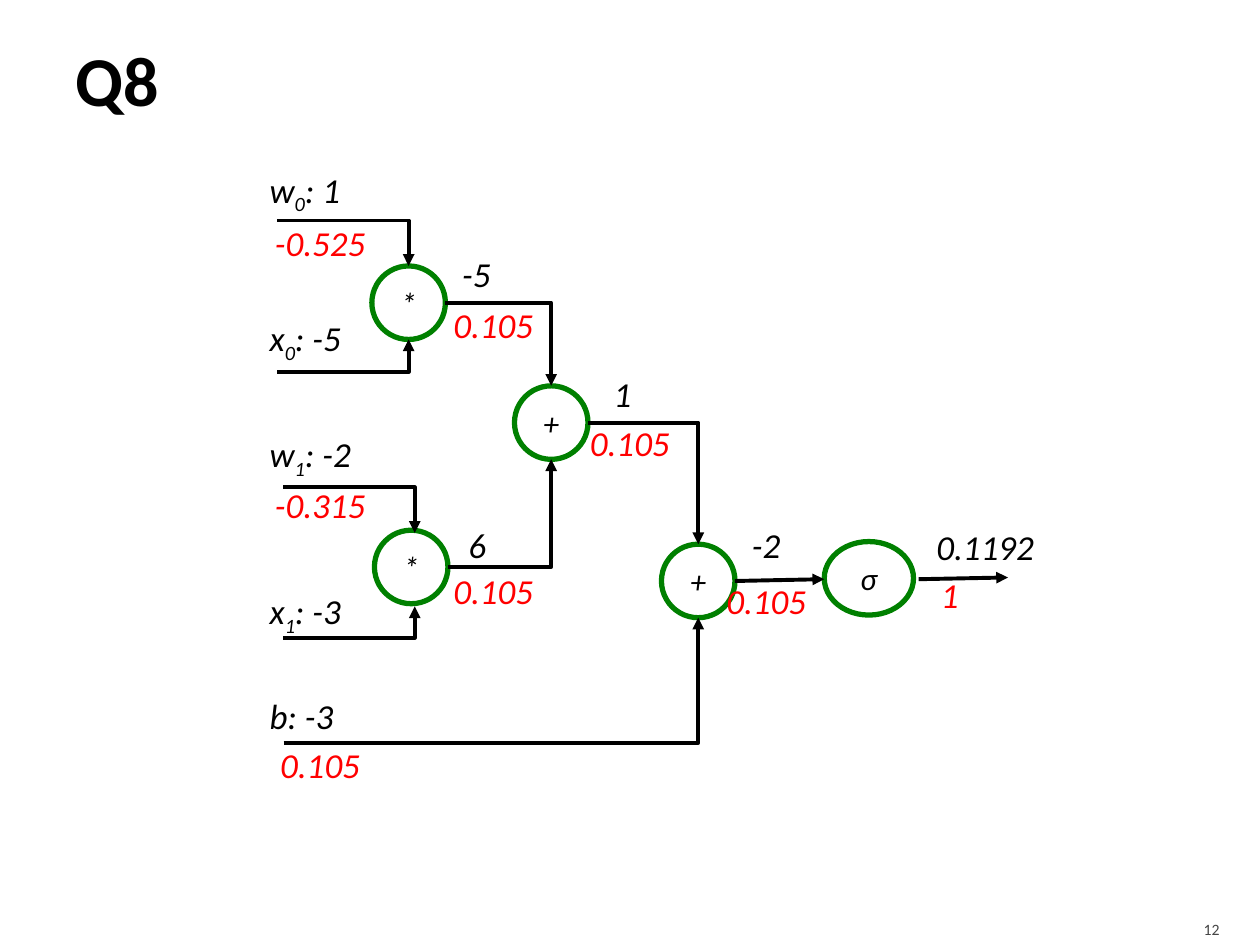
import pptx
import pptx.util
import pptx.dml.color
import pptx.enum.shapes
import pptx.enum.text
import pptx.oxml.ns
from lxml import etree

Pt = pptx.util.Pt
ALIGN = pptx.enum.text.PP_ALIGN
MIDDLE = pptx.enum.text.MSO_ANCHOR.MIDDLE
BLACK, RED, GREEN, GREY = "000000", "FF0000", "008000", "454545"
NODE_SIZE = 42


def color(hex_string):
    return pptx.dml.color.RGBColor.from_string(hex_string)


def style_font(font, size, hex_string, bold=False, italic=False):
    font.name, font.size = "Calibri", Pt(size)
    font.bold, font.italic = bold, italic
    font.color.rgb = color(hex_string)


def set_insets(frame, left, top, right, bottom):
    frame.margin_left, frame.margin_top = Pt(left), Pt(top)
    frame.margin_right, frame.margin_bottom = Pt(right), Pt(bottom)


def add_heading(slide, left, top, width, height):
    title = slide.shapes.title
    title.left, title.top = Pt(left), Pt(top)
    title.width, title.height = Pt(width), Pt(height)
    frame = title.text_frame
    frame.text = "Q8"
    frame.vertical_anchor = MIDDLE
    set_insets(frame, 7.2, 3.6, 3.6, 3.6)
    frame.paragraphs[0].alignment = ALIGN.LEFT
    style_font(frame.paragraphs[0].font, 40, BLACK, bold=True)


def add_page_number(slide, left, top, width, height):
    frame = slide.shapes.add_textbox(Pt(left), Pt(top), Pt(width), Pt(height)).text_frame
    frame.word_wrap = True
    frame.vertical_anchor = MIDDLE
    set_insets(frame, 7.2, 3.6, 7.2, 0)
    frame.text = "12"
    frame.paragraphs[0].alignment = ALIGN.RIGHT
    style_font(frame.paragraphs[0].font, 9, GREY)


def add_node(slide, center_x, center_y, symbol, width=NODE_SIZE):
    node = slide.shapes.add_shape(
        pptx.enum.shapes.MSO_SHAPE.OVAL, Pt(center_x - width / 2),
        Pt(center_y - NODE_SIZE / 2), Pt(width), Pt(NODE_SIZE))
    node.shadow.inherit = False
    node.fill.background()
    node.line.color.rgb = color(GREEN)
    node.line.width = Pt(3)
    frame = node.text_frame
    frame.text = symbol
    frame.vertical_anchor = MIDDLE
    set_insets(frame, 0, 0, 0, 0)
    frame.paragraphs[0].alignment = ALIGN.CENTER
    style_font(frame.paragraphs[0].font, 18, BLACK, italic=True)


def add_arrow(slide, start, end, bent=True):
    kinds = pptx.enum.shapes.MSO_CONNECTOR
    arrow = slide.shapes.add_connector(
        kinds.ELBOW if bent else kinds.STRAIGHT, *[Pt(v) for v in (*start, *end)])
    arrow.line.color.rgb = color(BLACK)
    arrow.line.width = Pt(2.25)
    qn = pptx.oxml.ns.qn
    properties = arrow._element.spPr
    if bent:  # a single corner: across, then up or down
        properties.find(qn("a:prstGeom")).set("prst", "bentConnector2")
    etree.SubElement(properties.find(qn("a:ln")), qn("a:tailEnd"), type="triangle")
    etree.SubElement(properties, qn("a:effectLst"))


def add_label(slide, left, top, text, hex_string):
    """Place a value; an underscore marks the next character as a subscript."""
    frame = slide.shapes.add_textbox(Pt(left), Pt(top), Pt(51), Pt(27)).text_frame
    frame.auto_size = pptx.enum.text.MSO_AUTO_SIZE.NONE
    frame.word_wrap = False
    set_insets(frame, 7.2, 0, 3.6, 0)
    paragraph = frame.paragraphs[0]
    style_font(paragraph.font, 20, hex_string, italic=True)
    name, _, rest = text.partition("_")
    for position, part in enumerate((name, rest[:1], rest[1:])):
        if part:
            run = paragraph.add_run()
            run.text = part
            if position == 1:
                run.font._element.set("baseline", "-25000")


def add_graph(slide, left, top):
    def at(x, y):
        return left + x, top + y

    # Operations, by center
    radius = NODE_SIZE / 2
    mul_0, mul_1 = (86.5, 77), (88, 228)
    add_0, add_1, sigmoid = (168, 145.5), (252, 236), (349.5, 234.5)
    sigmoid_width = 51

    def side(center, dx, dy):
        return at(center[0] + dx * radius, center[1] + dy * radius)

    for center, symbol in ((mul_0, "*"), (mul_1, "*"), (add_0, "+"), (add_1, "+")):
        add_node(slide, *at(*center), symbol)
    add_node(slide, *at(*sigmoid), "σ", sigmoid_width)

    # Bent wires: inputs, then products and sums
    for start, end in (
            (at(11.5, 30), side(mul_0, 0, -1)),
            (at(11.5, 116.5), side(mul_0, 0, 1)),
            (at(15, 182.5), at(90, 208.5)),
            (at(15, 268.5), at(90, 250.5)),
            (at(15, 328.5), side(add_1, 0, 1)),
            (side(mul_0, 1, 0), side(add_0, 0, -1)),
            (side(mul_1, 1, 0), side(add_0, 0, 1)),
            (side(add_0, 1, 0), side(add_1, 0, -1))):
        add_arrow(slide, start, end)

    # Straight wires into and out of the sigmoid
    add_arrow(slide, side(add_1, 1, 0),
              at(sigmoid[0] - sigmoid_width / 2, 235), bent=False)
    add_arrow(slide, at(378, 235), at(429, 234), bent=False)

    # Forward values
    inputs = (("w_0: 1", 0), ("x_0: -5", 85), ("w_1: -2", 151),
              ("x_1: -3", 241), ("b: -3", 301))
    for text, y in inputs:
        add_label(slide, *at(0, y), text, BLACK)
    for text, x, y in (("-5", 110, 48.5), ("6", 113.5, 203), ("1", 196.5, 117),
                       ("-2", 275.5, 203), ("0.1192", 381, 204)):
        add_label(slide, *at(x, y), text, BLACK)

    # Gradients
    for text, x, y in (("-0.525", 3, 30.5), ("-0.315", 3, 180.5),
                       ("0.105", 6, 329), ("0.105", 105, 77.5),
                       ("0.105", 105, 229.5), ("0.105", 183, 145),
                       ("0.105", 261, 235), ("1", 383.5, 231.5)):
        add_label(slide, *at(x, y), text, RED)


def main():
    deck = pptx.Presentation()
    deck.slide_width, deck.slide_height = Pt(720), Pt(540)
    slide = deck.slides.add_slide(deck.slide_layouts[5])
    add_heading(slide, 36, 6, 648, 78)
    add_page_number(slide, 646, 518, 58, 22)
    add_graph(slide, 147, 96)
    deck.save("out.pptx")


if __name__ == "__main__":
    main()
